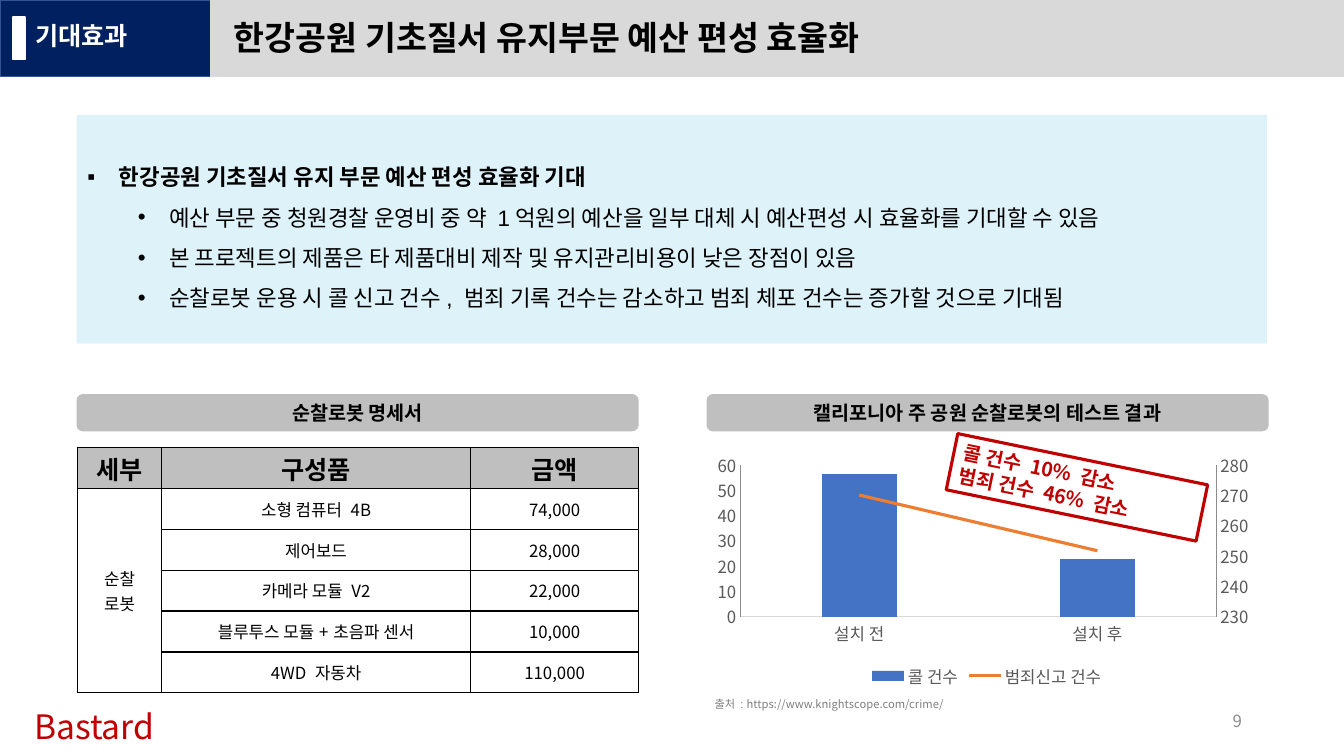
import copy

import lxml.etree
import pptx
import pptx.chart.data
import pptx.dml.color
import pptx.enum.chart
import pptx.enum.shapes
import pptx.enum.text
import pptx.oxml
import pptx.oxml.ns
import pptx.util

Pt = pptx.util.Pt
qn = pptx.oxml.ns.qn
SHAPE = pptx.enum.shapes.MSO_SHAPE
ALIGN = pptx.enum.text.PP_ALIGN
ANCHOR = pptx.enum.text.MSO_ANCHOR
SANS = "Noto Sans CJK KR"


def color(hex_string):
    """Turn a hex string into a colour."""
    return pptx.dml.color.RGBColor.from_string(hex_string)


def style_font(font, size, hex_string, bold=False, name=SANS):
    """Set the Latin and East Asian faces, size, weight and colour."""
    font.size, font.bold, font.name = Pt(size), bold, name
    font.color.rgb = color(hex_string)
    latin = font._element.find(qn("a:latin"))
    east_asian = latin.makeelement(qn("a:ea"), {"typeface": SANS})
    latin.addnext(east_asian)


def write(frame, lines, size, hex_string, bold=False, align=ALIGN.LEFT,
          anchor=ANCHOR.MIDDLE, name=SANS, spacing=None):
    """Fill a text frame with one run per line."""
    frame.word_wrap = True
    frame.vertical_anchor = anchor
    for index, line in enumerate(lines):
        paragraph = frame.paragraphs[0] if index == 0 else frame.add_paragraph()
        paragraph.alignment = align
        paragraph.line_spacing = spacing
        run = paragraph.add_run()
        run.text = line
        style_font(run.font, size, hex_string, bold, name)


def label(slide, box, lines, size, hex_string, **options):
    """Add a text box and return its frame."""
    frame = slide.shapes.add_textbox(*map(Pt, box)).text_frame
    write(frame, lines, size, hex_string, **options)
    return frame


def block(slide, box, fill=None, line=None, weight=1, kind=SHAPE.RECTANGLE):
    """Add a flat preset shape."""
    shape = slide.shapes.add_shape(kind, *map(Pt, box))
    shape.shadow.inherit = False
    if fill:
        shape.fill.solid()
        shape.fill.fore_color.rgb = color(fill)
    else:
        shape.fill.background()
    if line:
        shape.line.color.rgb = color(line)
        shape.line.width = Pt(weight)
    else:
        shape.line.fill.background()
    return shape


def header(slide, box, section, title):
    """Draw the top band with the section tag and the title."""
    left, top, width, height = box
    tag_width = 150.2
    block(slide, (left, top, tag_width, height), "002060", "325491")
    block(slide, (left + tag_width, top, width - tag_width, height), "D9D9D9", "D9D9D9")
    block(slide, (left + 9.4, top + 12.2, 8.6, 30.2), "FFFFFF", "FFFFFF")
    label(slide, (left + 18, top + 12.2, 123.8, 29.5), [section], 18, "FFFFFF",
          bold=True, spacing=0.9)
    label(slide, (left + 160, top + 8.6, 790, 39.6), [title], 24, "000000",
          bold=True, spacing=0.9)


def summary(slide, box, heading, points):
    """Draw the tinted panel with a heading and its bullet points."""
    left, top, width, height = box
    panel = block(slide, box, "5CC7E2")
    tint = panel.fill._xPr.find(".//" + qn("a:srgbClr"))
    lxml.etree.SubElement(tint, qn("a:alpha"), val="20000")
    frame = label(slide, (left + 0.7, top + 21.6, width, 119.5), [heading, *points], 16,
                  "000000", anchor=ANCHOR.TOP, name="Arial", spacing=1.5)
    for index, paragraph in enumerate(frame.paragraphs):
        properties = paragraph._p.get_or_add_pPr()
        properties.set("marL", str(Pt(22.5 if index == 0 else 58.5)))
        properties.set("indent", str(-Pt(22.5)))
        lxml.etree.SubElement(properties, qn("a:buFont"), typeface="Arial")
        lxml.etree.SubElement(properties, qn("a:buChar"), char="•" if index else "▪")
        paragraph.level = min(index, 1)
        paragraph.runs[0].font.bold = index == 0


def caption(slide, box, text):
    """Draw the rounded grey bar above a column."""
    bar = block(slide, box, "BFBFBF", kind=SHAPE.ROUNDED_RECTANGLE)
    write(bar.text_frame, [text], 14, "000000", bold=True, align=ALIGN.CENTER)


def outline_cell(cell):
    """Give a cell thin black borders on all sides."""
    properties = cell._tc.get_or_add_tcPr()
    for position, side in enumerate(("a:lnL", "a:lnR", "a:lnT", "a:lnB")):
        border = properties.makeelement(qn(side), {"w": str(Pt(1))})
        fill = lxml.etree.SubElement(border, qn("a:solidFill"))
        lxml.etree.SubElement(fill, qn("a:srgbClr"), val="000000")
        properties.insert(position, border)


def cost_table(slide, box, headings, group, parts):
    """Draw the parts list with its merged group cell."""
    rows = [headings] + [("", *part) for part in parts]
    table = slide.shapes.add_table(len(rows), 3, *map(Pt, box)).table
    for column, share in zip(table.columns, (0.15, 0.55, 0.3)):
        column.width = Pt(round(box[2] * share, 1))
    for row_index, row in enumerate(rows):
        table.rows[row_index].height = Pt(round(box[3] / len(rows), 1))
        for column_index, text in enumerate(row):
            cell = table.cell(row_index, column_index)
            heading = row_index == 0
            cell.fill.solid()
            cell.fill.fore_color.rgb = color("BFBFBF" if heading else "FFFFFF")
            cell.margin_top = cell.margin_bottom = 0
            cell.vertical_anchor = ANCHOR.MIDDLE
            outline_cell(cell)
            lines = group if (row_index, column_index) == (1, 0) else [text] if text else []
            write(cell.text_frame, lines, 18 if heading else 12, "000000",
                  bold=heading, align=ALIGN.CENTER)
            cell.vertical_anchor = ANCHOR.MIDDLE
    table.cell(1, 0).merge(table.cell(len(parts), 0))


def place_plot(plot_area):
    """Fix the inner plot rectangle within the chart."""
    for old in plot_area.findall(qn("c:layout")):
        plot_area.remove(old)
    layout = plot_area.makeelement(qn("c:layout"), {})
    manual = lxml.etree.SubElement(layout, qn("c:manualLayout"))
    settings = (("layoutTarget", "inner"), ("xMode", "edge"), ("yMode", "edge"),
                ("x", "0.06"), ("y", "0.07"), ("w", "0.85"), ("h", "0.62"))
    for tag, value in settings:
        lxml.etree.SubElement(manual, qn("c:" + tag), val=value)
    plot_area.insert(0, layout)


def result_chart(slide, box, categories, calls, crimes):
    """Draw calls as columns on the right axis and crimes as a line on the left."""
    data = pptx.chart.data.CategoryChartData()
    data.categories = categories
    data.add_series(*calls)
    data.add_series(*crimes)
    kind = pptx.enum.chart.XL_CHART_TYPE.COLUMN_CLUSTERED
    chart = slide.shapes.add_chart(kind, *map(Pt, box), data).chart
    style_font(chart.font, 10, "000000")
    chart.has_title = False
    chart.has_legend = True
    chart.legend.position = pptx.enum.chart.XL_LEGEND_POSITION.BOTTOM
    chart.legend.include_in_layout = False
    style_font(chart.legend.font, 12, "595959")
    columns = chart.plots[0]
    columns.gap_width, columns.vary_by_categories = 219, False
    columns.series[0].format.fill.solid()
    columns.series[0].format.fill.fore_color.rgb = color("4472C4")
    for axis, stroke in ((chart.category_axis, "D9D9D9"), (chart.value_axis, "8C8C8C")):
        style_font(axis.tick_labels.font, 12, "595959")
        axis.format.line.color.rgb = color(stroke)
        axis.format.line.width = Pt(0.75)
        axis.major_tick_mark = pptx.enum.chart.XL_TICK_MARK.NONE
    scale = chart.value_axis
    scale.major_unit = 10
    scale.minimum_scale, scale.maximum_scale = 0, 60
    scale.has_major_gridlines = True
    scale.major_gridlines.format.line.color.rgb = color("D9D9D9")
    scale.major_gridlines.format.line.width = Pt(0.75)

    plot_area = chart._chartSpace.chart.plotArea
    bars = plot_area.find(qn("c:barChart"))
    right_ids = [item.get("val") for item in bars.findall(qn("c:axId"))]
    left_ids = ["50010", "50020"]
    axes = [chart.category_axis._element, scale._element]
    for axis, own, crossed in zip(axes, left_ids, reversed(left_ids)):
        twin = copy.deepcopy(axis)
        twin.find(qn("c:axId")).set("val", own)
        twin.find(qn("c:crossAx")).set("val", crossed)
        axes[-1].getparent().insert(len(plot_area), twin)
    scale.has_major_gridlines = False
    scale.minimum_scale, scale.maximum_scale = 230, 280
    scale._element.find(qn("c:axPos")).set("val", "r")
    scale._element.find(qn("c:crosses")).set("val", "max")
    chart.category_axis.visible = False

    line_plot = plot_area.makeelement(qn("c:lineChart"), {})
    lxml.etree.SubElement(line_plot, qn("c:grouping"), val="standard")
    lxml.etree.SubElement(line_plot, qn("c:varyColors"), val="0")
    crime_series = bars.findall(qn("c:ser"))[1]
    for inverted in crime_series.findall(qn("c:invertIfNegative")):
        crime_series.remove(inverted)
    line_plot.append(crime_series)
    lxml.etree.SubElement(line_plot, qn("c:marker"), val="1")
    for axis_id in left_ids:
        lxml.etree.SubElement(line_plot, qn("c:axId"), val=axis_id)
    bars.addnext(line_plot)
    crime_line = chart.plots[1].series[0]
    crime_line.smooth = False
    crime_line.marker.style = pptx.enum.chart.XL_MARKER_STYLE.NONE
    crime_line.format.line.color.rgb = color("ED7D31")
    crime_line.format.line.width = Pt(2.25)
    place_plot(plot_area)


def callout(slide, box, lines):
    """Draw the tilted red frame over the chart."""
    frame = block(slide, box, line="C00000", weight=2.25)
    frame.rotation = 11.6
    write(frame.text_frame, lines, 14, "C00000", bold=True, anchor=ANCHOR.TOP)


def footer(slide, box, team, number):
    """Write the team name and the page number."""
    left, top, width, height = box
    label(slide, (left, top, 117.4, height), [team], 24, "C00000",
          align=ALIGN.CENTER, anchor=ANCHOR.TOP)
    label(slide, (left + width - 216, top, 216, 28.8), [number], 12, "8C8C8C",
          align=ALIGN.RIGHT)


def source_note(slide, box, lead, address):
    """Write the reference under the chart."""
    frame = label(slide, box, [lead], 8, "808080", anchor=ANCHOR.TOP, name="Arial")
    link = frame.paragraphs[0].add_run()
    link.text = address
    style_font(link.font, 8, "808080")


def main():
    """Build the slide and save it."""
    deck = pptx.Presentation()
    deck.slide_width, deck.slide_height = Pt(960), Pt(540)
    slide = deck.slides.add_slide(deck.slide_layouts[6])
    header(slide, (0, 0, 960, 54.7), "기대효과", "한강공원 기초질서 유지부문 예산 편성 효율화")
    footer(slide, (8.6, 500.4, 885.6, 36), "Bastard", "9")
    summary(slide, (54.7, 82.1, 850.3, 163.4), "한강공원 기초질서 유지 부문 예산 편성 효율화 기대", [
        "예산 부문 중 청원경찰 운영비 중 약 1억원의 예산을 일부 대체 시 예산편성 시 효율화를 기대할 수 있음",
        "본 프로젝트의 제품은 타 제품대비 제작 및 유지관리비용이 낮은 장점이 있음",
        "순찰로봇 운용 시 콜 신고 건수, 범죄 기록 건수는 감소하고 범죄 체포 건수는 증가할 것으로 기대됨",
    ])
    cost_table(slide, (55.4, 319.7, 401, 175), ("세부", "구성품", "금액"), ["순찰", "로봇"], [
        ("소형 컴퓨터 4B", "74,000"), ("제어보드", "28,000"), ("카메라 모듈 V2", "22,000"),
        ("블루투스 모듈+초음파 센서", "10,000"), ("4WD 자동차", "110,000"),
    ])
    for left, text in ((54.7, "순찰로봇 명세서"), (504.7, "캘리포니아 주 공원 순찰로봇의 테스트 결과")):
        caption(slide, (left, 281.5, 401.5, 26.6), text)
    source_note(slide, (503.3, 494.6, 347, 17.3), "출처 : ", "https://www.knightscope.com/crime/")
    result_chart(slide, (504.7, 319.7, 400.3, 175), ["설치 전", "설치 후"],
                 ("콜 건수", (277, 249)), ("범죄신고 건수", (48, 26)))
    callout(slide, (678.2, 327.6, 182.2, 41), ["콜 건수 10% 감소", "범죄 건수 46% 감소"])
    deck.save("out.pptx")


if __name__ == "__main__":
    main()
